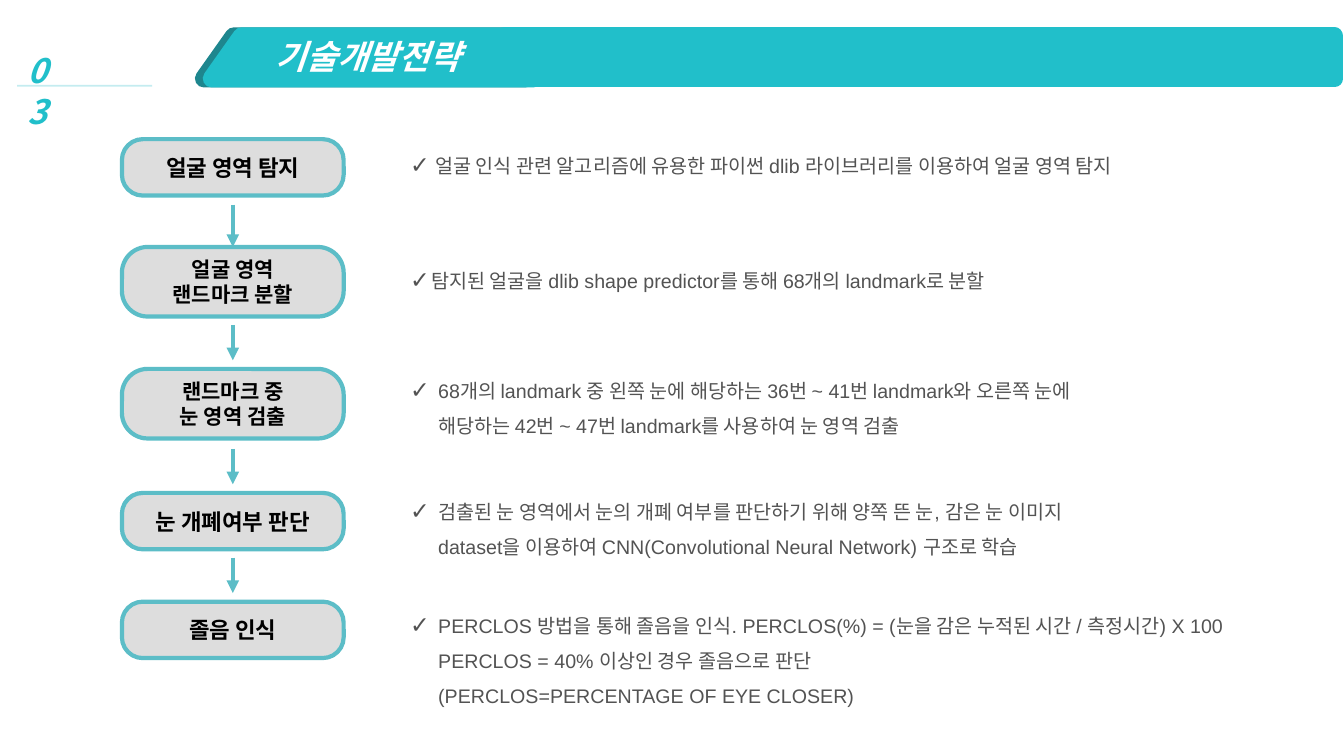
from copy import deepcopy

from lxml.etree import SubElement
from pptx import Presentation
from pptx.dml.color import RGBColor
from pptx.enum.shapes import MSO_CONNECTOR, MSO_SHAPE
from pptx.enum.text import MSO_ANCHOR, MSO_AUTO_SIZE, PP_ALIGN
from pptx.oxml.ns import qn
from pptx.util import Pt

# Content
TITLE = "기술개발전략"
NUMBER = "03"
# step lines, step top, description top, description width, text indent, description lines
STEPS = [
    (["얼굴 영역 탐지"], 99.4, 105.8, 566.6, 18,
     ["얼굴 인식 관련 알고리즘에 유용한 파이썬 dlib 라이브러리를 이용하여 얼굴 영역 탐지"]),
    (["얼굴 영역", "랜드마크 분할"], 176.4, 187.9, 518.4, 15,
     ["탐지된 얼굴을 dlib shape predictor를 통해 68개의 landmark로 분할"]),
    (["랜드마크 중", "눈 영역 검출"], 263.5, 258.5, 549.4, 20,
     ["68개의 landmark 중 왼쪽 눈에 해당하는 36번 ~ 41번 landmark와 오른쪽 눈에",
      "해당하는 42번 ~ 47번 landmark를 사용하여 눈 영역 검출"]),
    (["눈 개폐여부 판단"], 352.1, 344.9, 518.4, 20,
     ["검출된 눈 영역에서 눈의 개폐 여부를 판단하기 위해 양쪽 뜬 눈, 감은 눈 이미지",
      "dataset을 이용하여 CNN(Convolutional Neural Network) 구조로 학습"]),
    (["졸음 인식"], 429.8, 426.2, 650.9, 20,
     ["PERCLOS 방법을 통해 졸음을 인식. PERCLOS(%) = (눈을 감은 누적된 시간 / 측정시간) X 100",
      "PERCLOS = 40% 이상인 경우 졸음으로 판단",
      "(PERCLOS=PERCENTAGE OF EYE CLOSER)"]),
]
# Arrow into each following step: length, gap left above that step
ARROWS = [(30.2, 0), (25.2, 6.2), (25.2, 6.2), (25.2, 6.2)]

# Format
TEAL = RGBColor(0x21, 0xBF, 0xCA)
DARK_TEAL = RGBColor(0x1E, 0x86, 0x8E)
PALE_TEAL = RGBColor(0x8B, 0xDB, 0xE3)
STEP_TEAL = RGBColor(0x5C, 0xBD, 0xC7)
STEP_GREY = RGBColor(0xDD, 0xDD, 0xDD)
TEXT_GREY = RGBColor(0x53, 0x53, 0x53)
WHITE = RGBColor(0xFF, 0xFF, 0xFF)
BLACK = RGBColor(0, 0, 0)
KOREAN = "Noto Sans CJK KR"
HEADING = {"name": KOREAN, "size": Pt(24), "bold": True, "italic": True}
STEP_FONT = {"name": KOREAN, "bold": True}
BODY_FONT = {"name": "Arial", "size": Pt(14)}
FRAME = {"word_wrap": True, "auto_size": MSO_AUTO_SIZE.NONE, "margin_left": Pt(3.6),
         "margin_right": Pt(3.6), "margin_top": Pt(3.6), "margin_bottom": Pt(3.6)}

BAND_TOP, BAND_HEIGHT = 25.9, 30.2
STEP_LEFT, STEP_WIDTH = 87.1, 158.4
BODY_LEFT = 289.4


def apply(target, values):
    for key, value in values.items():
        setattr(target, key, value)


def place(shape, left, top, width, height):
    apply(shape, {"left": Pt(left), "top": Pt(top), "width": Pt(width), "height": Pt(height)})


def write(shape, lines, font, color, align=PP_ALIGN.LEFT, anchor=MSO_ANCHOR.TOP, spacing=1.0):
    frame = shape.text_frame
    apply(frame, FRAME | {"vertical_anchor": anchor})
    for i, line in enumerate(lines):
        paragraph = frame.paragraphs[0] if i == 0 else frame.add_paragraph()
        apply(paragraph, {"alignment": align, "line_spacing": spacing,
                          "space_before": Pt(0), "space_after": Pt(0)})
        run = paragraph.add_run()
        run.text = line
        apply(run.font, font)
        run.font.color.rgb = color
        SubElement(run.font._element, qn("a:ea")).set("typeface", KOREAN)


def paint(shape, fill, line, width):
    shape.shadow.inherit = False
    shape.fill.solid()
    shape.fill.fore_color.rgb = fill
    shape.line.color.rgb = line
    shape.line.width = Pt(width)


def connect(x1, y1, x2, y2, color, width):
    connector = slide.shapes.add_connector(
        MSO_CONNECTOR.STRAIGHT, Pt(x1), Pt(y1), Pt(x2), Pt(y2))
    connector.line.color.rgb = color
    connector.line.width = Pt(width)
    SubElement(connector._element.spPr, qn("a:effectLst"))
    return connector.line._get_or_add_ln()


def set_bullets(shape, indent):
    for i, paragraph in enumerate(shape.text_frame.paragraphs):
        props = paragraph._p.get_or_add_pPr()
        props.set("marL", str(Pt(indent)))
        props.set("indent", str(Pt(0 if i else -indent)))
        if i:
            SubElement(props, qn("a:buNone"))
        else:
            SubElement(props, qn("a:buSzPct")).set("val", "120000")
            SubElement(props, qn("a:buFont")).set("typeface", "Arial")
            SubElement(props, qn("a:buChar")).set("char", "✓")


prs = Presentation()
prs.slide_width, prs.slide_height = Pt(960), Pt(540)

# Layout with one body placeholder per step
layout = prs.slide_layouts[1]
layout_body = layout.placeholders[1]._element
for idx in range(20, 20 + len(STEPS) - 1):
    extra_body = deepcopy(layout_body)
    extra_body.nvSpPr.cNvPr.set("id", str(idx))
    extra_body.nvSpPr.nvPr.find(qn("p:ph")).set("idx", str(idx))
    layout_body.addnext(extra_body)
slide = prs.slides.add_slide(layout)
title = slide.shapes.title
bodies = [p for p in slide.placeholders if p.placeholder_format.idx != 0]

# Title band
for left, edge in [(145.6, DARK_TEAL), (151.2, TEAL)]:
    bottom = BAND_TOP + BAND_HEIGHT
    outline = slide.shapes.build_freeform(Pt(left), Pt(bottom))
    outline.add_line_segments([(Pt(left + 21.4), Pt(BAND_TOP)), (Pt(left + 251), Pt(BAND_TOP)),
                               (Pt(left + 229.6), Pt(bottom))])
    paint(outline.convert_to_shape(), TEAL, edge, 12.75)
band = slide.shapes.add_shape(MSO_SHAPE.RECTANGLE, Pt(360.7), Pt(BAND_TOP),
                              Pt(592.6), Pt(BAND_HEIGHT))
paint(band, TEAL, TEAL, 12.75)
place(title, 193, 22.3, 518, 36)
write(title, [TITLE], HEADING, WHITE)
band._element.addnext(title._element)

# Section number
rule = connect(12.2, 61.2, 108.7, 61.2, PALE_TEAL, 1.25)
SubElement(rule.find(".//" + qn("a:srgbClr")), qn("a:alpha")).set("val", "50000")
number = slide.shapes.add_textbox(Pt(15.8), Pt(32.4), Pt(35), Pt(36))
write(number, [NUMBER], HEADING, TEAL)

# Steps with their descriptions
for (labels, top, body_top, body_width, indent, lines), body in zip(STEPS, bodies):
    several = len(labels) > 1
    step = slide.shapes.add_shape(MSO_SHAPE.ROUNDED_RECTANGLE, Pt(STEP_LEFT), Pt(top),
                                  Pt(STEP_WIDTH), Pt(49.7 if several else 40.3))
    step.adjustments[0] = 0.37
    paint(step, STEP_GREY, STEP_TEAL, 3)
    write(step, labels, STEP_FONT | {"size": Pt(15 if several else 16)}, BLACK,
          PP_ALIGN.CENTER, MSO_ANCHOR.MIDDLE)

    place(body, BODY_LEFT, body_top, body_width, 23.8 if len(lines) == 1 else 3 + 26 * len(lines))
    write(body, lines, BODY_FONT, TEXT_GREY, spacing=1.03 if len(lines) == 1 else 1.5)
    set_bullets(body, indent)

# Arrows between steps
for (length, gap), following in zip(ARROWS, STEPS[1:]):
    center, end = STEP_LEFT + STEP_WIDTH / 2, following[1] - gap
    arrow = connect(center, end - length, center, end, STEP_TEAL, 3)
    SubElement(arrow, qn("a:tailEnd")).set("type", "triangle")

prs.save("out.pptx")
